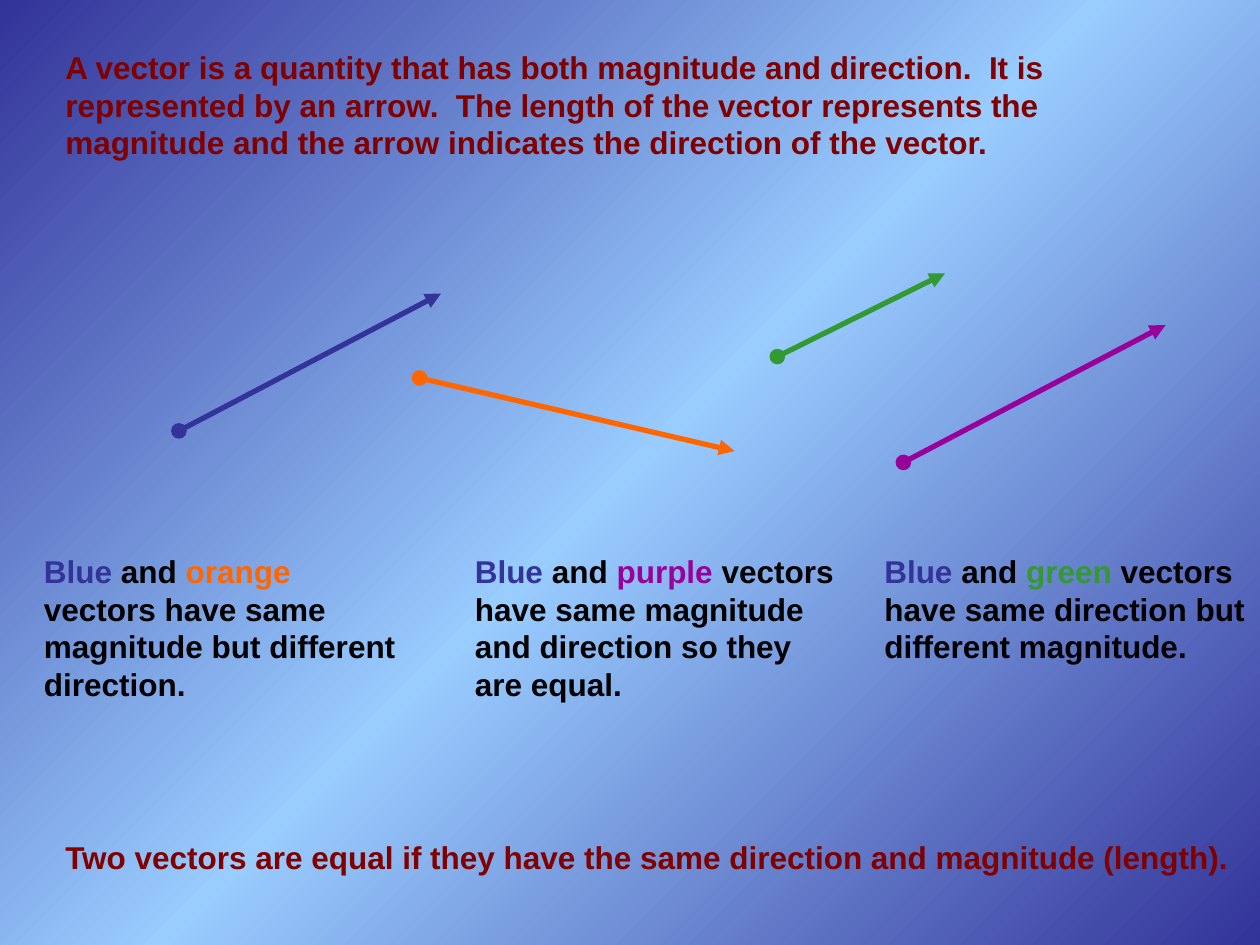
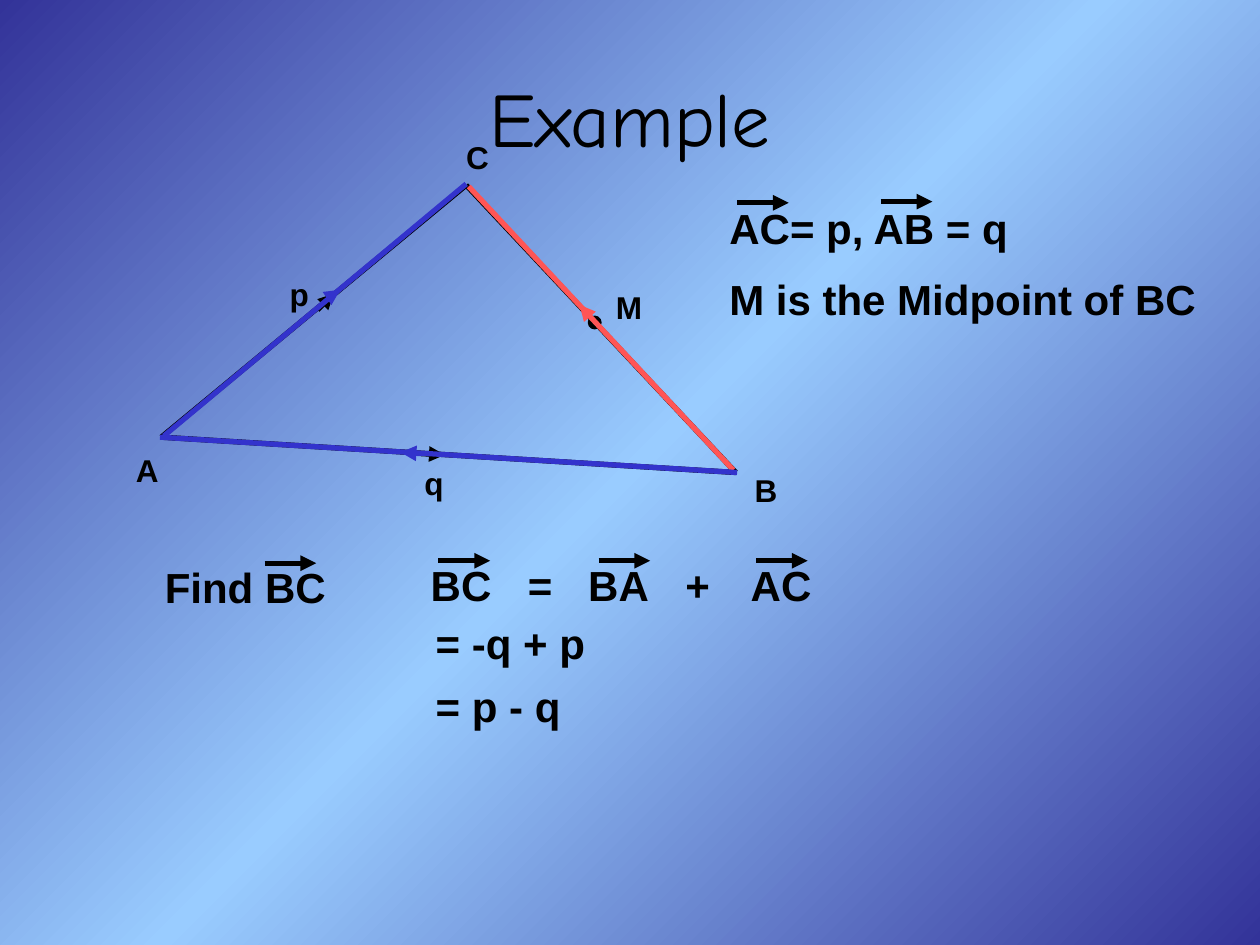
from copy import deepcopy

from pptx import Presentation
from pptx.dml.color import RGBColor
from pptx.enum.shapes import MSO_CONNECTOR as CONNECTOR, MSO_SHAPE as SHAPE
from pptx.enum.text import MSO_ANCHOR as ANCHOR, MSO_AUTO_SIZE as AUTO_SIZE, PP_ALIGN as ALIGN
from pptx.oxml.ns import qn
from pptx.oxml.xmlchemy import OxmlElement
from pptx.util import Inches, Pt

BLACK = RGBColor(0x00, 0x00, 0x00)
NAVY = RGBColor(0x33, 0x33, 0x99)
SKY = RGBColor(0x99, 0xCC, 0xFF)
MAROON = RGBColor(0x80, 0x00, 0x00)
PURPLE = RGBColor(0x99, 0x00, 0x99)
GREEN = RGBColor(0x33, 0x99, 0x33)
ORANGE = RGBColor(0xFF, 0x66, 0x00)
CORAL = RGBColor(0xFF, 0x55, 0x55)
BLUE = RGBColor(0x33, 0x33, 0xCC)

BODY_FONT, TITLE_FONT = "Arial", "Comic Neue"
TITLE_ONLY, BLANK = 5, 6


class Deck:
    """Shared style and the slide being filled."""

    def __init__(self):
        self.prs = Presentation()
        self.prs.slide_width, self.prs.slide_height = Inches(10), Inches(7.5)
        self.slide = None
        self.set_background()

    def set_background(self):
        master = self.prs.slide_master
        fill = master.background.fill
        fill.gradient()
        fill.gradient_angle = 315
        first = master.element.find(".//" + qn("a:gsLst"))[0]
        first.addnext(deepcopy(first))
        for stop, position, color in zip(fill.gradient_stops, (0, 0.5, 1), (NAVY, SKY, NAVY)):
            stop.position = position
            stop.color.rgb = color

    def new_slide(self, layout):
        self.slide = self.prs.slides.add_slide(self.prs.slide_layouts[layout])

    def add_run(self, paragraph, text, size, color, name=BODY_FONT, bold=True):
        run = paragraph.add_run()
        run.text = text
        font = run.font
        font.name, font.size, font.bold = name, Pt(size), bold
        font.color.rgb = color

    def title(self, text):
        title = self.slide.shapes.title
        title.left, title.top = Inches(0.5), Inches(0.3)
        title.width, title.height = Inches(9), Inches(1.25)
        title.text_frame.vertical_anchor = ANCHOR.MIDDLE
        paragraph = title.text_frame.paragraphs[0]
        paragraph.alignment = ALIGN.CENTER
        self.add_run(paragraph, text, 44, BLACK, TITLE_FONT, bold=False)

    def text(self, left, top, width, height, runs, size=18, wrap=True):
        box = self.slide.shapes.add_textbox(Inches(left), Inches(top), Inches(width), Inches(height))
        frame = box.text_frame
        frame.word_wrap = wrap
        frame.auto_size = AUTO_SIZE.SHAPE_TO_FIT_TEXT
        for words, color in runs:
            self.add_run(frame.paragraphs[0], words, size, color)

    def point_label(self, left, top, width, words):
        self.text(left, top, width, 0.4, [(words, BLACK)], wrap=False)

    def formula(self, left, top, width, words):
        self.text(left, top, width, 0.5, [(words, BLACK)], size=24, wrap=False)

    def line(self, start, end, color=BLACK, head=None, tail=None):
        connector = self.slide.shapes.add_connector(
            CONNECTOR.STRAIGHT, *(Inches(value) for value in (*start, *end)))
        connector.line.color.rgb = color
        connector.line.width = Pt(3)
        properties = connector.element.spPr
        for tag, kind in (("a:headEnd", head), ("a:tailEnd", tail)):
            if kind:
                line_end = OxmlElement(tag)
                line_end.set("type", kind)
                properties.find(qn("a:ln")).append(line_end)
        properties.append(OxmlElement("a:effectLst"))

    def arrow(self, start, end, color=BLACK, head=None):
        self.line(start, end, color, head, tail="triangle")

    def over_arrow(self, left, top):
        """Vector sign above a pair of letters."""
        self.arrow((left, top), (left + 0.41, top))

    def dot(self, left, top, size):
        dot = self.slide.shapes.add_shape(
            SHAPE.OVAL, Inches(left), Inches(top), Inches(size), Inches(size))
        dot.shadow.inherit = False
        dot.fill.solid()
        dot.fill.fore_color.rgb = BLACK
        dot.line.color.rgb = BLACK
        dot.line.width = Pt(0.75)


def build_definition(deck):
    deck.new_slide(BLANK)
    deck.text(0.42, 0.33, 9, 1, [(
        "A vector is a quantity that has both magnitude and direction.  It is represented by "
        "an arrow.  The length of the vector represents the magnitude and the arrow indicates "
        "the direction of the vector.", MAROON)])

    # Four vectors to compare
    for start, end, color in (
        ((1.42, 3.42), (3.5, 2.33), NAVY),
        ((7.17, 3.67), (9.25, 2.58), PURPLE),
        ((6.17, 2.83), (7.5, 2.17), GREEN),
        ((3.33, 3), (5.83, 3.58), ORANGE),
    ):
        deck.arrow(start, end, color, head="oval")

    # Comparisons with the blue vector
    for left, height, other, color, finding in (
        (0.25, 1.3, "orange", ORANGE, "vectors have same magnitude but different direction."),
        (3.67, 1.3, "purple", PURPLE,
         "vectors have same magnitude and direction so they are equal."),
        (6.92, 1, "green", GREEN, "vectors have same direction but different magnitude."),
    ):
        deck.text(left, 4.33, 3.08, height, [
            ("Blue", NAVY), (" and ", BLACK), (other, color), (" " + finding, BLACK)])

    deck.text(0.42, 6.6, 9.58, 0.4, [(
        "Two vectors are equal if they have the same direction and magnitude (length).", MAROON)])


def build_example(deck):
    deck.new_slide(TITLE_ONLY)
    deck.title("Example")

    # Triangle ABC
    a, b, c = (1.28, 3.47), (5.84, 3.75), (3.7, 1.47)
    for start, end in ((a, c), (a, b), (c, b)):
        deck.line(start, end)
    deck.arrow((2.52, 2.46), (2.65, 2.33))
    deck.arrow((3.34, 3.6), (3.53, 3.61))
    deck.dot(4.67, 2.51, 0.1)
    for left, top, width, words in (
        (0.98, 3.53, 0.38, "A"), (5.89, 3.69, 0.38, "B"), (3.6, 1.05, 0.38, "C"),
        (2.2, 2.13, 0.35, "p"), (3.27, 3.63, 0.35, "q"), (4.79, 2.24, 0.41, "M"),
    ):
        deck.point_label(left, top, width, words)

    # Given facts and the question
    deck.formula(5.69, 2.12, 3.9, "M is the Midpoint of BC")
    deck.formula(1.21, 4.41, 1.48, "Find BC")
    deck.over_arrow(2.1, 4.47)
    deck.formula(5.69, 1.56, 2.42, "AC= p, AB = q")
    deck.over_arrow(5.85, 1.61)
    deck.over_arrow(6.99, 1.6)

    # Coloured route: BC, then BA and AC
    for side_start, side_end, mark_start, mark_end, color in (
        ((5.82, 3.73), (3.72, 1.48), (4.67, 2.5), (4.6, 2.42), CORAL),
        ((5.85, 3.75), (1.27, 3.47), (3.34, 3.6), (3.18, 3.59), BLUE),
        ((1.3, 3.46), (3.7, 1.46), (2.61, 2.36), (2.7, 2.3), BLUE),
    ):
        deck.line(side_start, side_end, color)
        deck.arrow(mark_start, mark_end, color)

    # Worked answer
    for left, arrow_left, words in ((3.32, 3.48, "BC"), (4.57, 4.75, "BA"), (5.86, 6, "AC")):
        deck.formula(left, 4.39, 0.68, words)
        deck.over_arrow(arrow_left, 4.45)
    deck.formula(4.09, 4.39, 0.39, "=")
    deck.formula(5.34, 4.39, 0.39, "+")
    deck.formula(3.36, 4.85, 1.42, "= -q + p")
    deck.formula(3.36, 5.35, 1.22, "= p - q")


def main():
    deck = Deck()
    build_definition(deck)
    build_example(deck)
    deck.prs.save("out.pptx")


if __name__ == "__main__":
    main()
